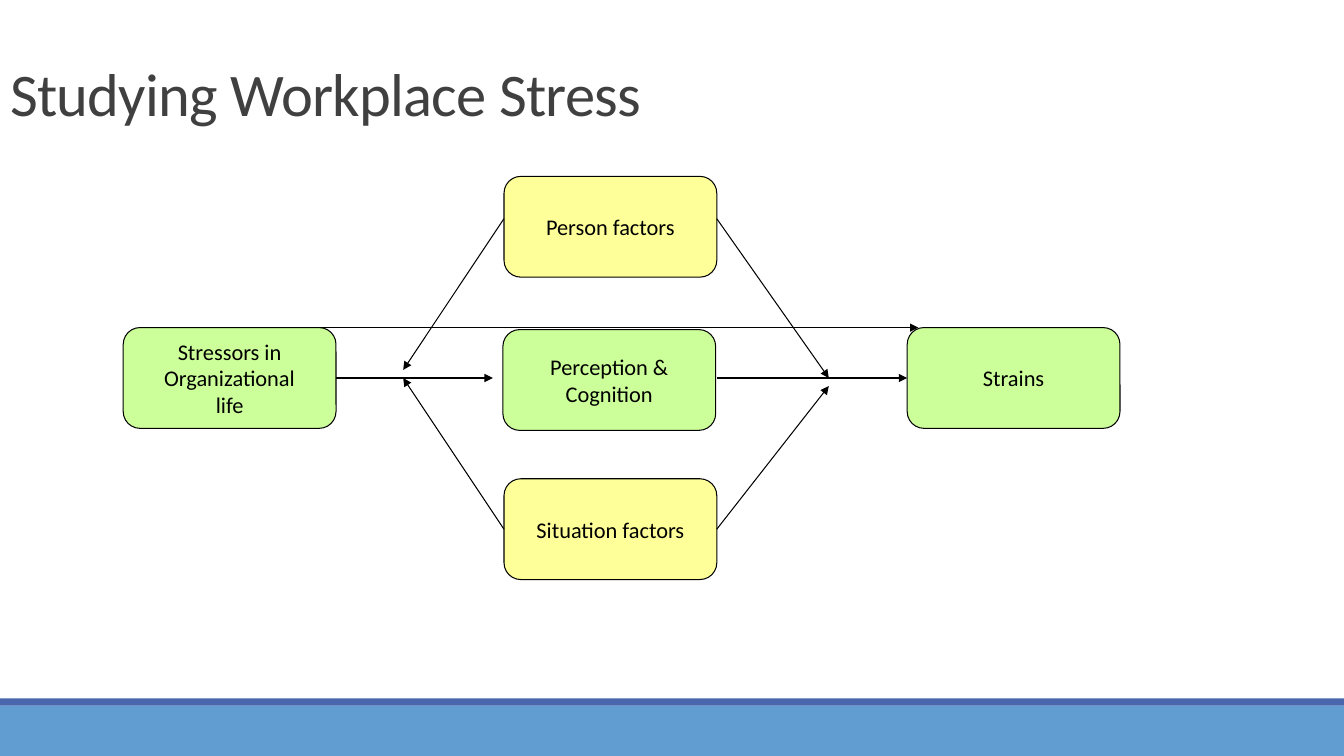
import pptx
import pptx.util
import pptx.dml.color
import pptx.enum.shapes
import pptx.enum.text
import pptx.oxml.ns
import lxml.etree

SHAPE = pptx.enum.shapes.MSO_SHAPE
ALIGN = pptx.enum.text.PP_ALIGN
ANCHOR = pptx.enum.text.MSO_ANCHOR


def color(value):
    return pptx.dml.color.RGBColor.from_string(value)


def apply(target, formats):
    for name, value in formats.items():
        setattr(target, name, value)


class Deck:
    COLUMNS, ROWS = 12, 15
    INK = "000000"
    LINE = pptx.util.Pt(0.75)
    TITLE = {"name": "Calibri", "size": pptx.util.Pt(43.2)}
    LABEL = {"name": "Calibri", "size": pptx.util.Pt(16)}

    def __init__(self):
        self.prs = pptx.Presentation()
        self.prs.slide_width = pptx.util.Inches(13.33)
        self.prs.slide_height = pptx.util.Inches(7.5)
        self.s = self.prs.slides.add_slide(self.prs.slide_layouts[5])

    def x(self, columns):
        return round(self.prs.slide_width * columns / self.COLUMNS)

    def y(self, rows):
        return round(self.prs.slide_height * rows / self.ROWS)

    def frame(self, left, top, width, height):
        return self.x(left), self.y(top), self.x(width), self.y(height)

    def shape(self, kind, place, fill):
        sp = self.s.shapes.add_shape(kind, *self.frame(*place))
        sp.shadow.inherit = False
        sp.fill.solid()
        sp.fill.fore_color.rgb = color(fill)
        return sp

    def band(self, top, height, fill):
        sp = self.shape(SHAPE.RECTANGLE, (0, top, self.COLUMNS, height), fill)
        sp.line.fill.background()

    def title(self, text, place):
        sp = self.s.shapes.title
        apply(sp, dict(zip(("left", "top", "width", "height"), self.frame(*place))))
        tf = sp.text_frame
        apply(tf, {"auto_size": pptx.enum.text.MSO_AUTO_SIZE.NONE,
                   "vertical_anchor": ANCHOR.MIDDLE})
        p = tf.paragraphs[0]
        apply(p, {"alignment": ALIGN.LEFT, "line_spacing": 0.85})
        r = p.add_run()
        r.text = text
        apply(r.font, self.TITLE)
        r.font.color.rgb = color("404040")
        r._r.get_or_add_rPr().set("spc", "-50")

    def box(self, lines, left, top, fill):
        sp = self.shape(SHAPE.ROUNDED_RECTANGLE, (left, top, 1.9, 2), fill)
        sp.line.color.rgb = color(self.INK)
        sp.line.width = self.LINE
        tf = sp.text_frame
        apply(tf, {"word_wrap": False, "vertical_anchor": ANCHOR.MIDDLE})
        for i, line in enumerate(lines):
            p = tf.add_paragraph() if i else tf.paragraphs[0]
            p.alignment = ALIGN.CENTER
            r = p.add_run()
            r.text = line
            apply(r.font, self.LABEL)
            r.font.color.rgb = color(self.INK)

    def arrow(self, x1, y1, x2, y2):
        c = self.s.shapes.add_connector(
            pptx.enum.shapes.MSO_CONNECTOR.STRAIGHT,
            self.x(x1), self.y(y1), self.x(x2), self.y(y2))
        c.line.color.rgb = color(self.INK)
        c.line.width = self.LINE
        qn = pptx.oxml.ns.qn
        lxml.etree.SubElement(c.line._get_or_add_ln(), qn("a:tailEnd"), type="triangle")
        lxml.etree.SubElement(c._element.spPr, qn("a:effectLst"))


def main():
    green, yellow = "CCFF99", "FFFF99"
    deck = Deck()
    deck.band(14, 1, "629DD1")
    deck.band(13.86, 0.14, "4A66AC")
    deck.title("Studying Workplace Stress", (0, 1.2, 11, 1.5))

    for lines, left, top, fill in [
        (["Perception &", "Cognition"], 4.49, 6.54, green),
        (["Stressors in", "Organizational", "life"], 1.1, 6.5, green),
        (["Strains"], 8.1, 6.5, green),
        (["Situation factors"], 4.5, 9.5, yellow),
        (["Person factors"], 4.5, 3.5, yellow),
    ]:
        deck.box(lines, left, top, fill)

    for ends in [
        (3, 7.5, 4.4, 7.5),
        (6.4, 7.5, 8.1, 7.5),
        (4.5, 4.34, 3.6, 7.34),
        (6.4, 4.34, 7.4, 7.5),
        (4.5, 10.5, 3.6, 7.5),
        (6.4, 10.5, 7.4, 7.66),
        (2.8, 6.5, 8.2, 6.5),
    ]:
        deck.arrow(*ends)

    deck.prs.save("out.pptx")


if __name__ == "__main__":
    main()
